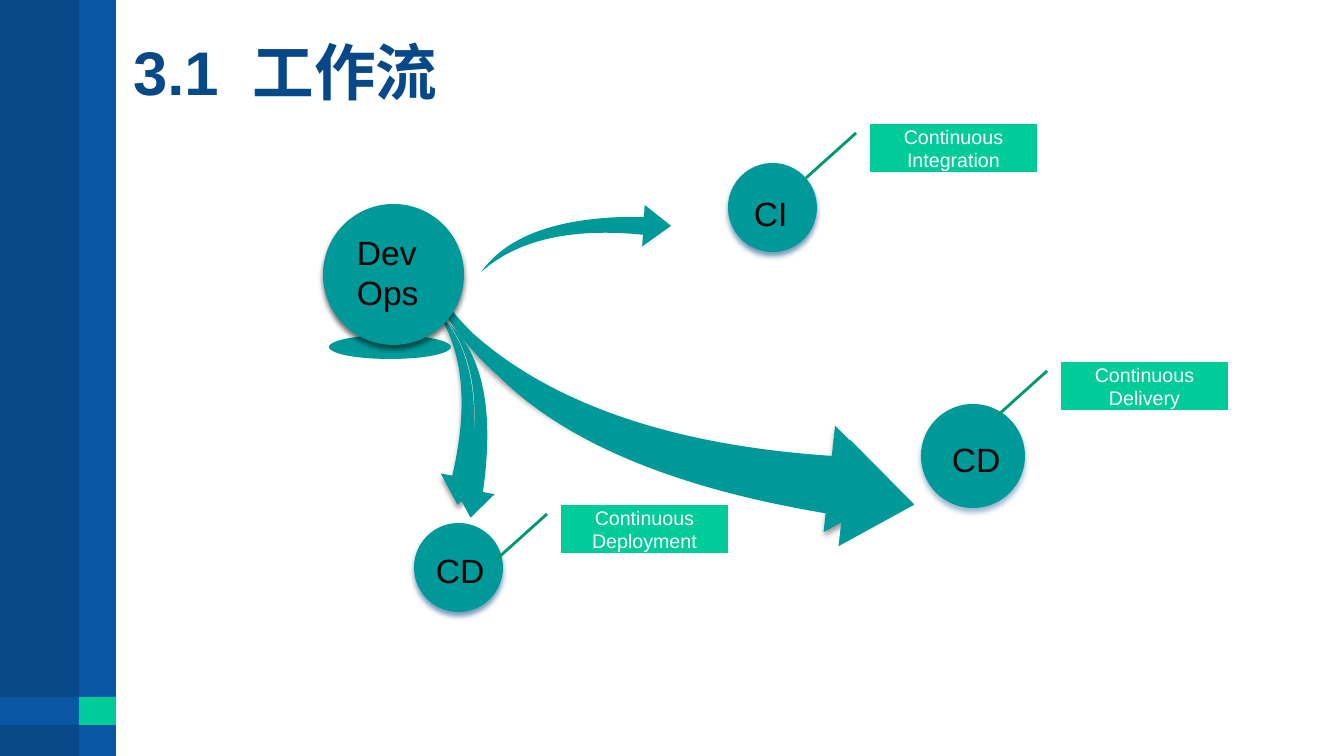
from lxml.etree import SubElement
from pptx import Presentation
from pptx.dml.color import RGBColor
from pptx.enum.shapes import MSO_SHAPE as SHAPE
from pptx.enum.text import MSO_ANCHOR as ANCHOR, PP_ALIGN as ALIGN
from pptx.oxml.ns import qn
from pptx.util import Pt

PX = 12192000 / 1344
COLORS = {
    "navy": "074888", "blue": "0856A4", "mint": "00CC99", "teal": "009999",
    "line": "009771", "black": "000000", "white": "FFFFFF",
    "shade": "346A99", "pale": "6B93B7",
}
TITLE = ("3.1", " ", "工作流")
TITLE_BOX = (123, 22, 1176, 126)
SIDEBAR = [
    ((0, 0, 112, 756), "navy"),
    ((79, 0, 37, 756), "blue"),
    ((0, 697, 112, 28), "blue"),
    ((79, 697, 37, 28), "mint"),
]
CIRCLE, ARROW = SHAPE.OVAL, SHAPE.SWOOSH_ARROW
FLOW = [
    (CIRCLE, (728, 163, 89, 89), 21.1, False, ("shade", 68)),
    (ARROW, (434, 291, 465, 242), 359.7, True, ("black", 40)),
    (ARROW, (449, 305, 465, 242), 359.7, True, None),
    (ARROW, (365, 363, 179, 94), 107.3, False, ("black", 40)),
    (ARROW, (378, 376, 179, 94), 107.3, False, None),
    (CIRCLE, (921, 404, 104, 104), 21.1, False, ("pale", 68)),
    (CIRCLE, (414, 523, 89, 89), 21.1, False, ("shade", 68)),
    (CIRCLE, (329, 335, 122, 24), 0, False, None),
    (CIRCLE, (323, 204, 141, 141), 21.1, False, ("black", 57)),
    (ARROW, (488, 194, 179, 94), 9.9, False, None),
]
LABELS = [
    (("Dev", "Ops"), (347, 227, 117, 91)),
    (("CI",), (744, 188, 60, 50)),
    (("CD",), (942, 434, 71, 50)),
    (("CD",), (426, 545, 73, 50)),
]
CALLOUT_SIZE = (167, 48)
CALLOUTS = [
    ("Continuous Integration", (870, 124)),
    ("Continuous Delivery", (1061, 362)),
    ("Continuous Deployment", (561, 505)),
]


def rgb(name):
    return RGBColor.from_string(COLORS[name])


def emu(box):
    return [round(v * PX) for v in box]


def style(p, size, color, bold=False):
    for r in p.runs:
        for key, value in {"name": "Arial", "size": Pt(size), "bold": bold}.items():
            setattr(r.font, key, value)
        r.font.color.rgb = rgb(color)


def add_shape(s, kind, box, color):
    sp = s.shapes.add_shape(kind, *emu(box))
    sp.shadow.inherit = False
    sp.fill.solid()
    sp.fill.fore_color.rgb = rgb(color)
    sp.line.fill.background()
    return sp


def add_shadow(sp, color, alpha):
    effects = sp._element.spPr.find(qn("a:effectLst"))
    shadow = SubElement(effects, qn("a:outerShdw"), blurRad=str(Pt(4)),
                        dist=str(Pt(3)), dir="5400000", rotWithShape="0")
    tint = SubElement(shadow, qn("a:srgbClr"), val=COLORS[color])
    SubElement(tint, qn("a:alpha"), val=str(alpha * 1000))


def add_title(s):
    title = s.shapes.title
    title.left, title.top, title.width, title.height = emu(TITLE_BOX)
    tf = title.text_frame
    tf.vertical_anchor = ANCHOR.MIDDLE
    p = tf.paragraphs[0]
    p.alignment = ALIGN.LEFT
    p.line_spacing = Pt(32)
    for text in TITLE:
        p.add_run().text = text
    style(p, 44, "navy", True)
    p.runs[1]._r.get_or_add_rPr().set("spc", "1200")


def add_flow(s):
    for kind, box, angle, flipped, shadow in FLOW:
        sp = add_shape(s, kind, box, "teal")
        sp.rotation = angle
        if kind == ARROW:
            sp.adjustments[0], sp.adjustments[1] = 0.19, 0.3
        if flipped:
            sp._element.spPr.xfrm.set("flipV", "1")
        if shadow:
            add_shadow(sp, *shadow)


def add_labels(s):
    for lines, box in LABELS:
        tf = s.shapes.add_textbox(*emu(box)).text_frame
        tf.word_wrap = True
        for i, text in enumerate(lines):
            p = tf.add_paragraph() if i else tf.paragraphs[0]
            p.add_run().text = text
            style(p, 24, "black")


def add_callouts(s):
    for text, corner in CALLOUTS:
        sp = add_shape(s, SHAPE.LINE_CALLOUT_1_NO_BORDER, corner + CALLOUT_SIZE, "mint")
        sp.line.color.rgb = rgb("line")
        sp.line.width = Pt(2)
        tf = sp.text_frame
        tf.word_wrap = True
        tf.vertical_anchor = ANCHOR.MIDDLE
        p = tf.paragraphs[0]
        p.alignment = ALIGN.CENTER
        p.add_run().text = text
        style(p, 14, "white")


def main():
    prs = Presentation()
    prs.slide_width, prs.slide_height = emu((1344, 756))
    s = prs.slides.add_slide(prs.slide_layouts[5])
    for box, color in SIDEBAR:
        add_shape(s, SHAPE.RECTANGLE, box, color)
    add_title(s)
    add_flow(s)
    add_labels(s)
    add_callouts(s)
    prs.save("out.pptx")


if __name__ == "__main__":
    main()
